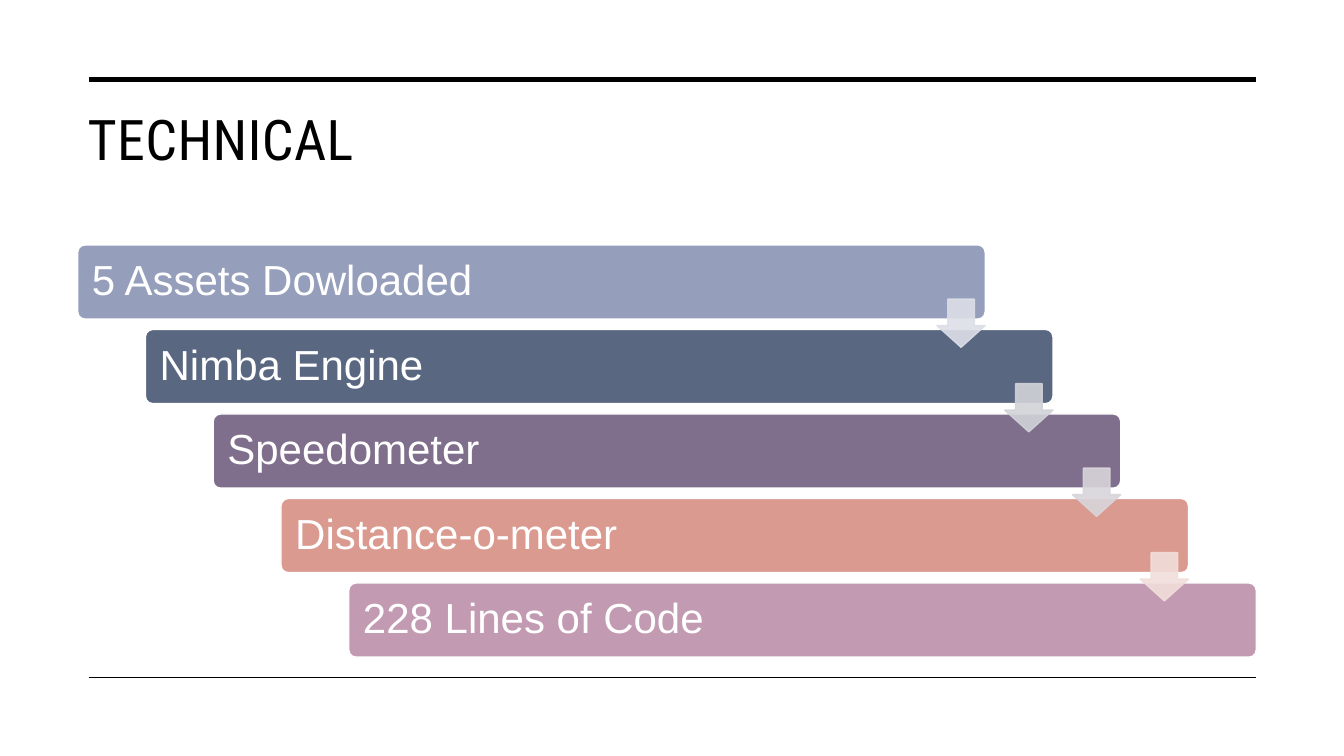
from lxml import etree
from pptx import Presentation, util as u
from pptx.dml.color import RGBColor
from pptx.enum import shapes, text
from pptx.oxml.ns import qn

WIDTH, HEIGHT = u.Inches(13.33), u.Inches(7.5)
STEPS = [
    ("5 Assets Dowloaded", "959EBB", "DDDFE7"),
    ("Nimba Engine", "596781", "D1D3D8"),
    ("Speedometer", "7F6E8C", "D8D5DA"),
    ("Distance-o-meter", "DB9A8F", "F1DEDB"),
    ("228 Lines of Code", "C29AB1", None),
]


def color(hex_code):
    return RGBColor.from_string(hex_code)


def inches(*lengths):
    return [u.Inches(length) for length in lengths]


def apply(target, values):
    for name, value in values.items():
        setattr(target, name, value)


def write(frame, words, size, font_name, hex_code, **frame_format):
    apply(frame, {"word_wrap": True, "auto_size": text.MSO_AUTO_SIZE.NONE, **frame_format})
    paragraph = frame.paragraphs[0]
    paragraph.alignment = text.PP_ALIGN.LEFT
    run = paragraph.add_run()
    run.text = words
    apply(run.font, {"size": u.Pt(size), "name": font_name})
    run.font.color.rgb = color(hex_code)
    return run


def add_block(group, preset, box, adjustments, fill, outline):
    block = group.shapes.add_shape(preset, *map(int, box))
    block.shadow.inherit = False
    for index, value in enumerate(adjustments):
        block.adjustments[index] = value
    block.fill.solid()
    block.fill.fore_color.rgb = color(fill)
    block.line.color.rgb = color(outline)
    block.line.width = u.Pt(1)
    return block


def make_translucent(shape, percent):
    """Set the opacity of both the fill and the outline."""
    for srgb in shape._element.spPr.iter(qn("a:srgbClr")):
        etree.SubElement(srgb, qn("a:alpha"), val=str(percent * 1000))


def add_title(slide, box, words):
    title = slide.shapes.title
    apply(title, dict(zip(("left", "top", "width", "height"), box)))
    run = write(title.text_frame, words, 40, "Roboto Condensed", "000000",
                vertical_anchor=text.MSO_ANCHOR.TOP)
    run.font._element.set("spc", "30")


def add_rule(slide, left, right, y, weight):
    rule = slide.shapes.add_connector(shapes.MSO_CONNECTOR.STRAIGHT, left, y, right, y)
    rule.line.color.rgb = color("000000")
    rule.line.width = u.Pt(weight)
    etree.SubElement(rule._element.spPr, qn("a:effectLst"))


def add_staircase(slide, box, steps):
    """Stack bars that step to the right, each pointing down to the next."""
    left, top, width, height = box
    bar_width, bar_height = 0.77 * width, 0.18 * height
    column = (width - bar_width) / (len(steps) - 1)
    row = (height - bar_height) / (len(steps) - 1)
    arrow_size = 0.65 * bar_height
    group = slide.shapes.add_group_shape()
    inset = u.Inches(0.12)
    margins = {f"margin_{side}": inset for side in ("left", "right", "top", "bottom")}

    for index, (words, fill, _) in enumerate(steps):
        bar_box = left + index * column, top + index * row, bar_width, bar_height
        bar = add_block(group, shapes.MSO_SHAPE.ROUNDED_RECTANGLE, bar_box,
                        [0.1], fill, "FFFFFF")
        write(bar.text_frame, words, 30, "Arial", "FFFFFF",
              vertical_anchor=text.MSO_ANCHOR.MIDDLE, **margins)
        bar.text_frame.paragraphs[0].line_spacing = 0.9

    for index, (_, _, tint) in enumerate(steps[:-1]):
        arrow_box = (left + index * column + bar_width - arrow_size,
                     top + index * row + 0.73 * bar_height, arrow_size, arrow_size)
        arrow = add_block(group, shapes.MSO_SHAPE.DOWN_ARROW, arrow_box,
                          [0.55, 0.45], tint, tint)
        make_translucent(arrow, 90)


def main():
    presentation = Presentation()
    apply(presentation, {"slide_width": WIDTH, "slide_height": HEIGHT})
    slide = presentation.slides.add_slide(presentation.slide_layouts[5])
    add_title(slide, inches(0.77, 0.99, 11.69, 1.26), "TECHNICAL")
    for y, weight in ((0.79, 3.5), (6.72, 1)):
        add_rule(slide, *inches(0.88, 12.46, y), weight)
    add_staircase(slide, inches(0.77, 2.43, 11.69, 4.09), STEPS)
    presentation.save("out.pptx")


if __name__ == "__main__":
    main()
